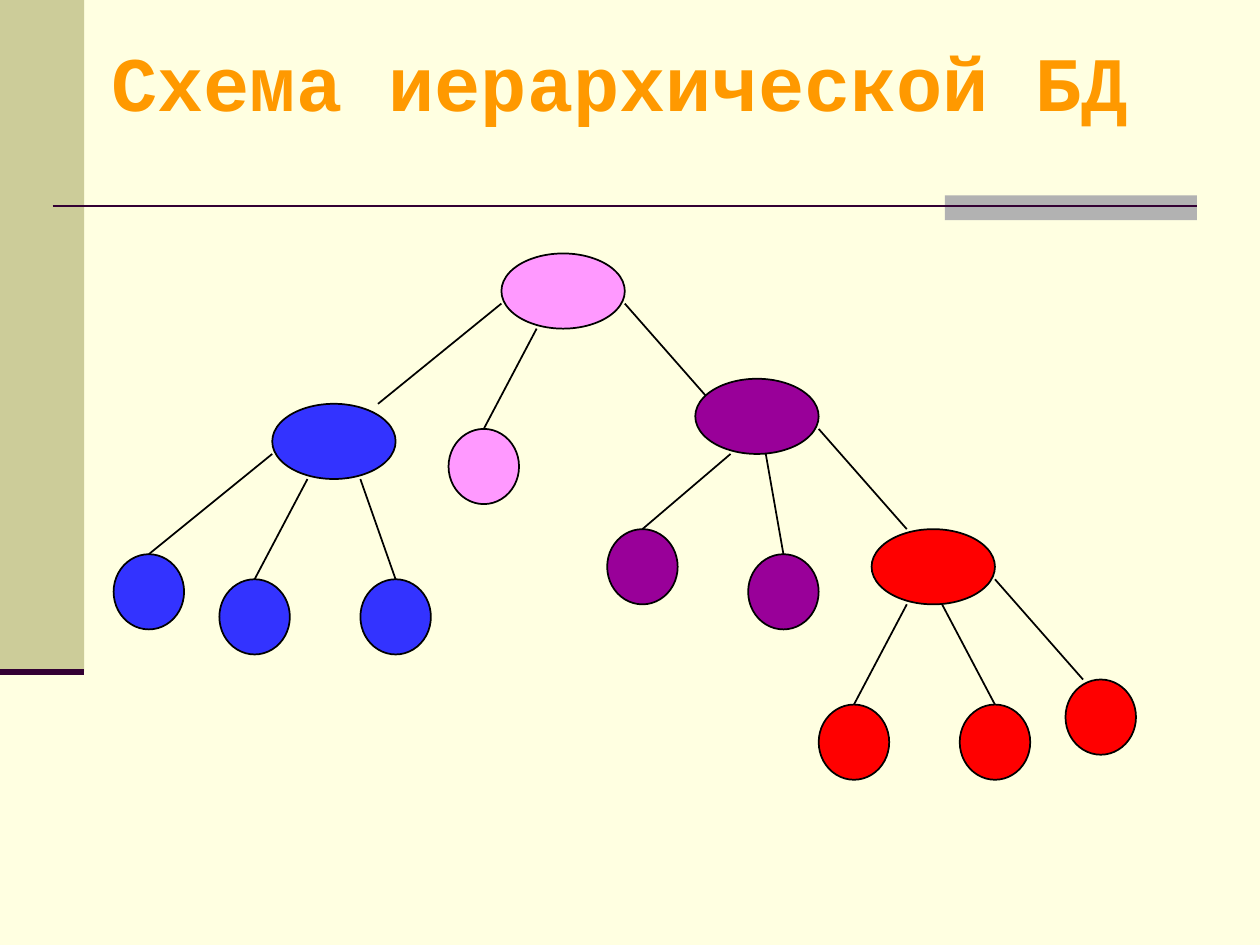
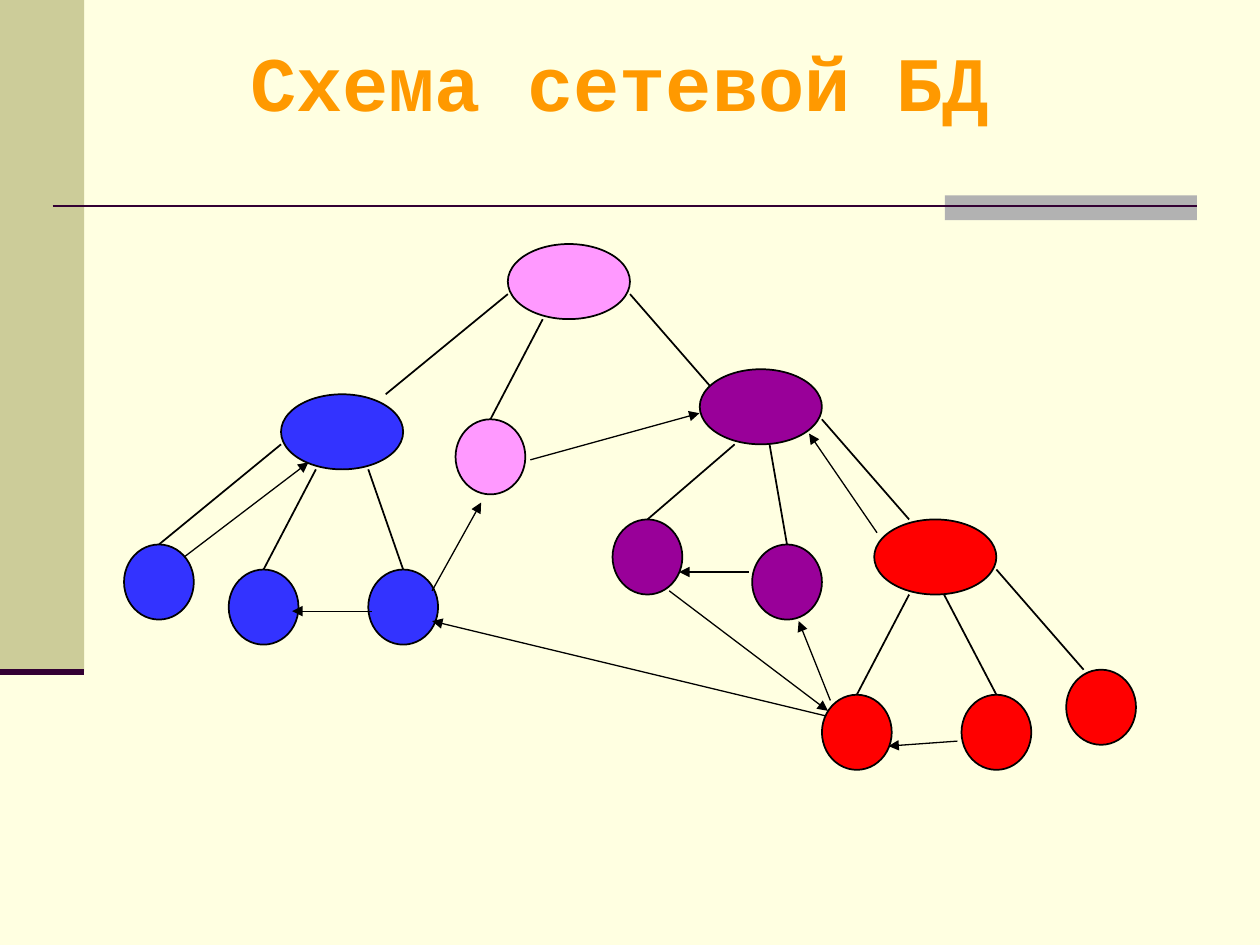
from collections import namedtuple
from dataclasses import dataclass

import pptx
import pptx.dml.color
import pptx.enum.shapes
import pptx.enum.text
import pptx.oxml.ns
import pptx.util
from lxml import etree

Cm = pptx.util.Cm
Pt = pptx.util.Pt
Preset = pptx.enum.shapes.MSO_SHAPE


@dataclass(frozen=True)
class Theme:
    background: str = "FFFFE1"
    band: str = "CCCC99"
    accent: str = "B2B2B2"
    rule: str = "330033"
    title: str = "FF9900"
    outline: str = "000000"
    pink: str = "FF99FF"
    blue: str = "3333FF"
    purple: str = "990099"
    red: str = "FF0000"
    font: str = "Courier New"
    title_size: int = 44
    branch_width: float = 1
    arrow_width: float = 0.75
    rule_width: float = 1.5
    band_rule_width: float = 3.5


THEME = Theme()

Hub = namedtuple("Hub", "color position branches")
Branch = namedtuple("Branch", "start end leaf", defaults=[None])
Frame = namedtuple("Frame", "left top width height")

GRID_COLUMNS, GRID_ROWS = 58, 21
HUB_SIZE, LEAF_SIZE = (7, 3), (4, 3)

HUBS = [
    Hub(THEME.pink, (22, 0), [
        Branch((22, 2), (15, 6)),
        Branch((24, 3), (21, 7), (19, 7)),
        Branch((29, 2), (34, 6)),
    ]),
    Hub(THEME.blue, (9, 6), [
        Branch((9, 8), (2, 12), (0, 12)),
        Branch((11, 9), (8, 13), (6, 13)),
        Branch((14, 9), (16, 13), (14, 13)),
    ]),
    Hub(THEME.purple, (33, 5), [
        Branch((35, 8), (30, 11), (28, 11)),
        Branch((37, 8), (38, 12), (36, 12)),
        Branch((40, 7), (45, 11)),
    ]),
    Hub(THEME.red, (43, 11), [
        Branch((45, 14), (42, 18), (40, 18)),
        Branch((47, 14), (50, 18), (48, 18)),
        Branch((50, 13), (55, 17), (54, 17)),
    ]),
]

HIERARCHY_FRAME = Frame(2.29, 5.11, 20.61, 10.61)
NETWORK_FRAME = Frame(2.5, 4.92, 20.4, 10.6)

NETWORK_ARROWS = [
    ((10.69, 9.27), (14.1, 8.33)),
    ((7.49, 12.32), (5.89, 12.32)),
    ((3.71, 11.23), (6.22, 9.32)),
    ((16.64, 14.43), (8.71, 12.52)),
    ((13.49, 11.91), (16.69, 14.33)),
    ((19.3, 14.94), (17.91, 15.04)),
    ((15.09, 11.53), (13.69, 11.53)),
    ((16.74, 14.12), (16.1, 12.52)),
    ((17.68, 10.74), (16.31, 8.74)),
    ((8.71, 11.91), (9.7, 10.13)),
]


def rgb(color):
    return pptx.dml.color.RGBColor.from_string(color)


def add_figure(page, preset, left, top, width, height, color, outline=None):
    figure = page.shapes.add_shape(preset, Cm(left), Cm(top), Cm(width), Cm(height))
    figure.shadow.inherit = False
    figure.fill.solid()
    figure.fill.fore_color.rgb = rgb(color)
    if outline:
        figure.line.color.rgb = rgb(outline)
        figure.line.width = Pt(THEME.branch_width)
    else:
        figure.line.fill.background()
    return figure


def add_line(page, start, end, width, color=THEME.outline, arrow=False):
    line = page.shapes.add_connector(
        pptx.enum.shapes.MSO_CONNECTOR.STRAIGHT,
        *(Cm(length) for length in (*start, *end)),
    )
    line.line.color.rgb = rgb(color)
    line.line.width = Pt(width)
    qn = pptx.oxml.ns.qn
    properties = line.element.spPr
    if arrow:
        etree.SubElement(properties.find(qn("a:ln")), qn("a:tailEnd"), type="triangle")
    etree.SubElement(properties, qn("a:effectLst"))
    return line


def move_decoration_to_layout(page, layout):
    for placeholder in list(layout.placeholders):
        if placeholder.placeholder_format.idx != 0:
            layout.shapes.element.remove(placeholder.element)
    decoration = [
        add_figure(page, Preset.RECTANGLE, 0, 0, 1.7, 13.54, THEME.band),
        add_figure(page, Preset.RECTANGLE, 19.05, 3.94, 5.08, 0.5, THEME.accent),
        add_line(page, (1.06, 4.15), (24.13, 4.15), THEME.rule_width, THEME.rule),
        add_line(page, (0, 13.54), (1.7, 13.54), THEME.band_rule_width, THEME.rule),
    ]
    for item in decoration:
        layout.shapes.element.append(item.element)


def set_title(page, text):
    box = page.shapes.title
    box.left, box.top, box.width, box.height = Cm(1.7), Cm(0.53), Cm(21.6), Cm(2.21)
    frame = box.text_frame
    frame.text = text
    frame.word_wrap = True
    frame.auto_size = pptx.enum.text.MSO_AUTO_SIZE.NONE
    frame.vertical_anchor = pptx.enum.text.MSO_ANCHOR.MIDDLE
    para = frame.paragraphs[0]
    para.alignment = pptx.enum.text.PP_ALIGN.CENTER
    para.font.name = THEME.font
    para.font.size = Pt(THEME.title_size)
    para.font.bold = True
    para.font.color.rgb = rgb(THEME.title)


def add_tree(page, frame):
    column = frame.width / GRID_COLUMNS
    row = frame.height / GRID_ROWS

    def locate(point):
        return frame.left + point[0] * column, frame.top + point[1] * row

    def add_node(position, size, color):
        return add_figure(page, Preset.OVAL, *locate(position),
                          size[0] * column, size[1] * row, color, THEME.outline)

    for hub in HUBS:
        add_node(hub.position, HUB_SIZE, hub.color)
        for branch in hub.branches:
            line = add_line(page, locate(branch.start), locate(branch.end),
                            THEME.branch_width)
            if branch.leaf:
                leaf = add_node(branch.leaf, LEAF_SIZE, hub.color)
                leaf_top = (branch.leaf[0] + LEAF_SIZE[0] / 2, branch.leaf[1])
                if branch.end == leaf_top:
                    line.end_connect(leaf, 0)


def main():
    deck = pptx.Presentation()
    deck.slide_width, deck.slide_height = Cm(25.4), Cm(19.05)
    fill = deck.slide_master.background.fill
    fill.solid()
    fill.fore_color.rgb = rgb(THEME.background)

    layout = deck.slide_layouts.get_by_name("Title Only")
    hierarchy = deck.slides.add_slide(layout)
    move_decoration_to_layout(hierarchy, layout)
    set_title(hierarchy, "Схема иерархической БД")
    add_tree(hierarchy, HIERARCHY_FRAME)

    network = deck.slides.add_slide(layout)
    set_title(network, "Схема сетевой БД")
    add_tree(network, NETWORK_FRAME)
    for start, end in NETWORK_ARROWS:
        add_line(network, start, end, THEME.arrow_width, arrow=True)

    deck.save("out.pptx")


if __name__ == "__main__":
    main()
